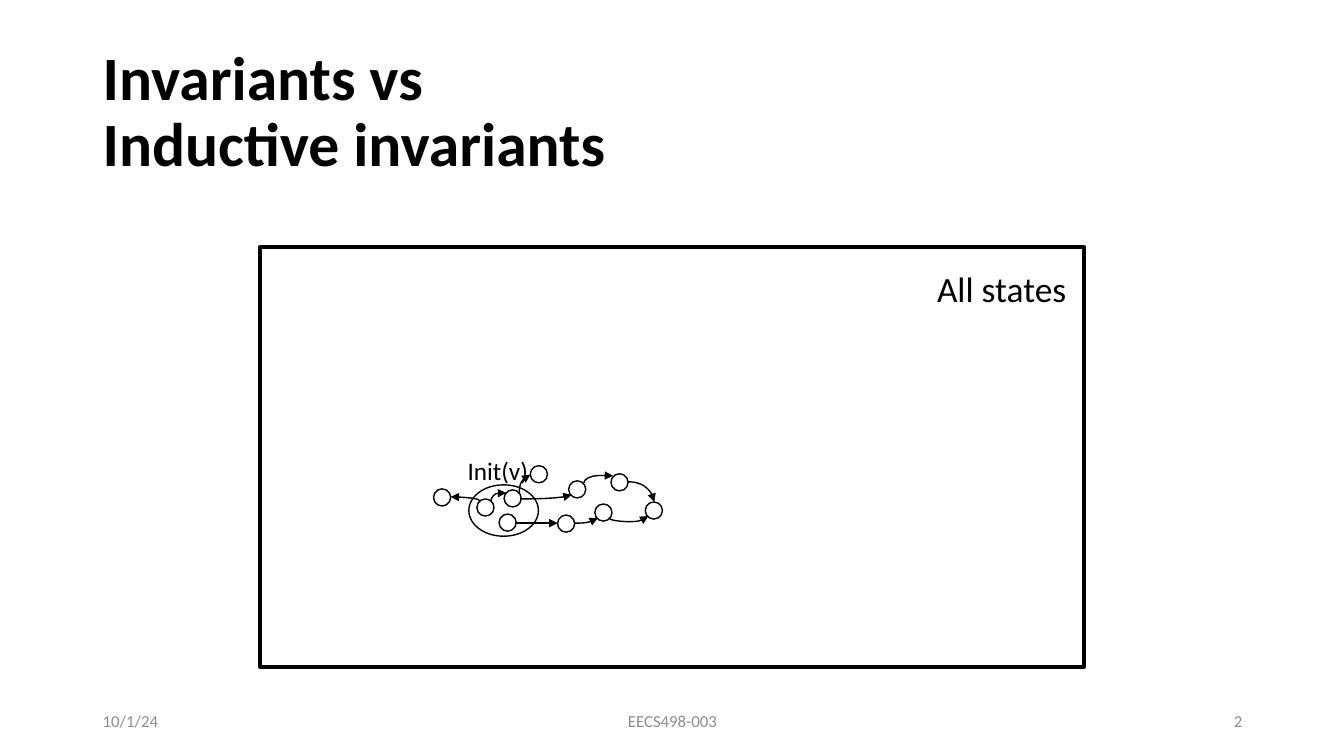
from lxml import etree
from pptx import Presentation
from pptx.dml.color import RGBColor
from pptx.enum.shapes import MSO_CONNECTOR, MSO_SHAPE
from pptx.enum.text import MSO_ANCHOR, MSO_AUTO_SIZE, PP_ALIGN
from pptx.oxml.ns import qn
from pptx.util import Inches, Pt

RECTANGLE, OVAL = MSO_SHAPE.RECTANGLE, MSO_SHAPE.OVAL
CURVE = MSO_CONNECTOR.CURVE
TOP, MIDDLE = MSO_ANCHOR.TOP, MSO_ANCHOR.MIDDLE
LEFT, CENTER, RIGHT = PP_ALIGN.LEFT, PP_ALIGN.CENTER, PP_ALIGN.RIGHT
FIT_SHAPE, NO_FIT = MSO_AUTO_SIZE.SHAPE_TO_FIT_TEXT, MSO_AUTO_SIZE.NONE

COLORS = {"ink": "000000", "footer": "8C8C8C"}
FONT = "Calibri"
STATE_SIZE = 0.17
INITIAL_STATES = [(4.73, 4.95), (4.95, 5.1), (5, 4.86)]
LATER_STATES = [(4.3, 4.85), (5.26, 4.62), (5.64, 4.77), (5.53, 5.11),
                (5.9, 5), (6.06, 4.7), (6.4, 4.98)]
# start, end, leaves vertically, bend position (None for a quarter curve)
TRANSITIONS = [
    ((4.76, 4.97), (4.47, 4.93), True, None),
    ((5.15, 4.89), (5.26, 4.71), True, None),
    ((4.87, 4.97), (5.02, 4.89), True, 0.97),
    ((5.11, 5.19), (5.53, 5.19), False, 0.5),
    ((5.16, 4.95), (5.67, 4.91), False, None),
    ((5.79, 4.79), (6.08, 4.72), True, 1.03),
    ((5.7, 5.19), (5.93, 5.14), False, None),
    ((6.04, 5.14), (6.43, 5.12), True, -1.75),
    ((6.23, 4.78), (6.49, 4.98), False, None),
]
FOOTERS = [("10/1/24", 0.92, 3, LEFT), ("EECS498-003", 4.42, 4.5, CENTER),
           ("2", 9.42, 3, RIGHT)]


def rgb(name):
    return RGBColor.from_string(COLORS[name])


def apply(target, values):
    for name, value in values.items():
        setattr(target, name, value)


class StateDiagram:
    """Draws on one slide with a shared font and ink colour."""

    def __init__(self, slide):
        self.shapes = slide.shapes

    def outline(self, kind, left, top, width, height, weight=1):
        shape = self.shapes.add_shape(
            kind, Inches(left), Inches(top), Inches(width), Inches(height))
        shape.shadow.inherit = False
        shape.fill.background()
        shape.line.color.rgb = rgb("ink")
        shape.line.width = Pt(weight)

    def text(self, words, left, top, width, height, size, color="ink",
             bold=False, align=LEFT, spacing=1.0, **frame_format):
        box = self.shapes.add_textbox(
            Inches(left), Inches(top), Inches(width), Inches(height))
        frame = box.text_frame
        apply(frame, {"word_wrap": True, "auto_size": NO_FIT,
                      "vertical_anchor": MIDDLE, **frame_format})
        paragraph = frame.paragraphs[0]
        paragraph.text = words
        apply(paragraph, {"alignment": align, "line_spacing": spacing})
        for run in paragraph.runs:
            apply(run.font, {"name": FONT, "size": Pt(size), "bold": bold})
            run.font.color.rgb = rgb(color)

    def transition(self, start, end, vertical, bend):
        """Curved arrow; one that leaves vertically is a turned, flipped box."""
        dx, dy = end[0] - start[0], end[1] - start[1]
        width, height = abs(dx), abs(dy)
        flip_h, flip_v, turn = dx < 0, dy < 0, 0
        if vertical:
            width, height = height, width
            turn = 90 if dx > 0 else 270
            flip_h, flip_v = (dx > 0) == (dy < 0), True
        left = (start[0] + end[0] - width) / 2
        top = (start[1] + end[1] - height) / 2
        arrow = self.shapes.add_connector(
            CURVE, Inches(left), Inches(top),
            Inches(left + width), Inches(top + height))
        arrow.line.color.rgb = rgb("ink")
        arrow.line.width = Pt(1)

        properties = arrow.element.spPr
        frame = properties.find(qn("a:xfrm"))
        for name, value in {"rot": turn * 60000, "flipH": int(flip_h),
                            "flipV": int(flip_v)}.items():
            frame.set(name, str(value))
        geometry = properties.find(qn("a:prstGeom"))
        if bend is None:
            geometry.set("prst", "curvedConnector2")
        else:
            guides = geometry.find(qn("a:avLst"))
            etree.SubElement(guides, qn("a:gd"), name="adj1",
                             fmla=f"val {round(bend * 100000)}")
        etree.SubElement(properties.find(qn("a:ln")), qn("a:tailEnd"),
                         type="triangle")
        etree.SubElement(properties, qn("a:effectLst"))


def main():
    deck = Presentation()
    deck.slide_width, deck.slide_height = Inches(13.33), Inches(7.5)
    diagram = StateDiagram(deck.slides.add_slide(deck.slide_layouts[6]))

    diagram.outline(RECTANGLE, 2.58, 2.45, 8.17, 4.17, weight=2.75)
    inset = Inches(0.04)
    diagram.text("All states", 9.25, 2.61, 1.37, 0.5, 25.3, align=CENTER,
                 word_wrap=False, auto_size=FIT_SHAPE, margin_left=inset,
                 margin_right=inset, margin_top=inset, margin_bottom=inset)
    diagram.text("Invariants vs \vInductive invariants", 0.92, 0.4, 11.5, 1.45,
                 44, bold=True, spacing=0.9)
    for words, left, width, align in FOOTERS:
        diagram.text(words, left, 6.95, width, 0.4, 12, "footer", align=align)

    for left, top in INITIAL_STATES:
        diagram.outline(OVAL, left, top, STATE_SIZE, STATE_SIZE)
    diagram.outline(OVAL, 4.65, 4.81, 0.69, 0.51)
    for left, top in LATER_STATES:
        diagram.outline(OVAL, left, top, STATE_SIZE, STATE_SIZE)
    diagram.text("Init(v)", 4.54, 4.47, 0.84, 0.4, 18,
                 vertical_anchor=TOP, auto_size=FIT_SHAPE)
    for start, end, vertical, bend in TRANSITIONS:
        diagram.transition(start, end, vertical, bend)

    deck.save("out.pptx")


if __name__ == "__main__":
    main()
